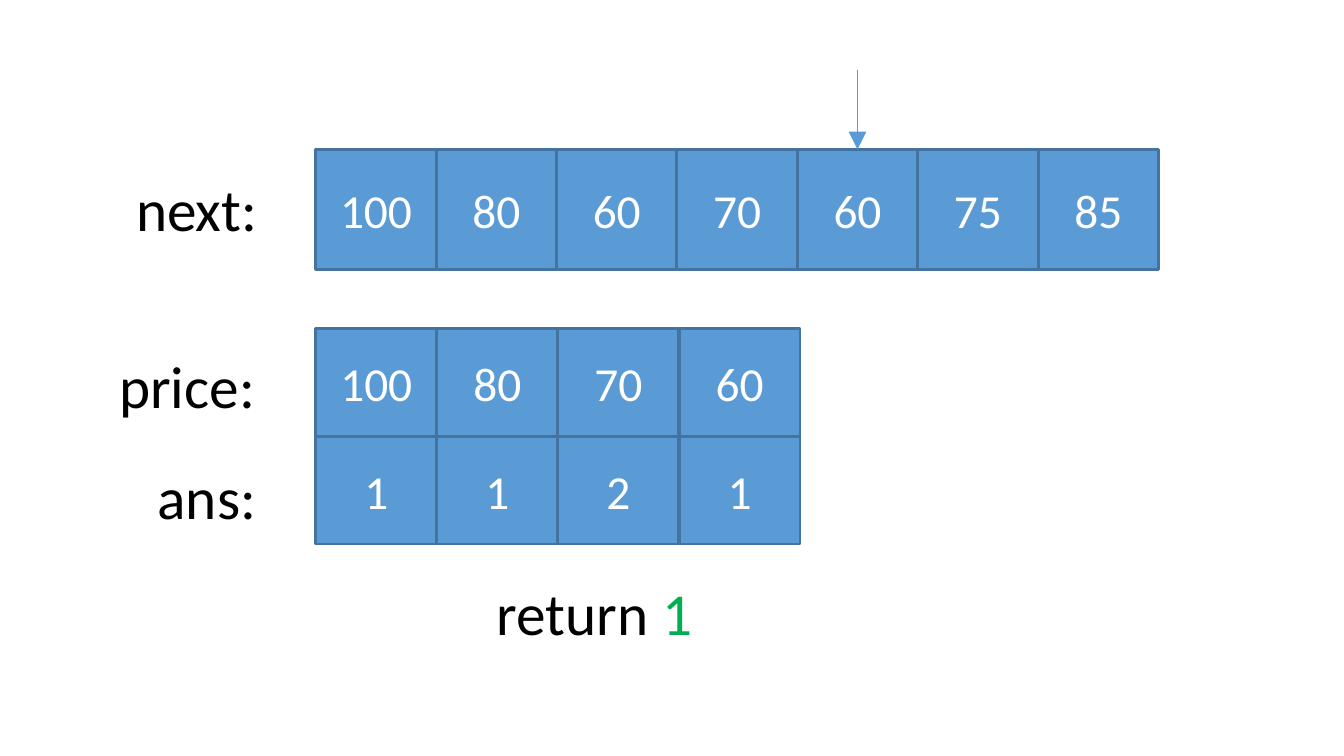
from lxml import etree
from pptx import Presentation
from pptx.dml.color import RGBColor
from pptx.enum.shapes import MSO_CONNECTOR, MSO_SHAPE
from pptx.enum.text import MSO_ANCHOR, MSO_AUTO_SIZE, PP_ALIGN
from pptx.oxml.ns import qn
from pptx.util import Inches, Pt

RECTANGLE = MSO_SHAPE.RECTANGLE
STRAIGHT = MSO_CONNECTOR.STRAIGHT
MIDDLE = MSO_ANCHOR.MIDDLE
CENTER = PP_ALIGN.CENTER
GROW = MSO_AUTO_SIZE.SHAPE_TO_FIT_TEXT

BLUE = RGBColor(0x5B, 0x9B, 0xD5)
DARK_BLUE = RGBColor(0x43, 0x73, 0x9E)
WHITE = RGBColor(0xFF, 0xFF, 0xFF)
BLACK = RGBColor(0x00, 0x00, 0x00)
GREEN = RGBColor(0x00, 0xB0, 0x50)

CM_PER_INCH = 2.54
ROW_LEFT = 1.48
NEXT_TOP = 0.7
NEXT_SIDE = 3.95 / 7
STACK_TOP = 1.54
STACK_WIDTH = 2.27 / 4
STACK_HEIGHT = 1.01 / 2
NEXT_PRICES = [100, 80, 60, 70, 60, 75, 85]
CURRENT = 4
STACK_ROWS = [[100, 80, 70, 60], [1, 1, 2, 1]]
LABELS = [("next:", 0.54, 0.76), ("price:", 0.46, 1.59), ("ans:", 0.64, 2.11)]


class StackSlide:
    font = "Calibri"
    cell_size = Pt(16)
    label_size = Pt(20)

    def __init__(self, slide):
        self.slide = slide

    def add_run(self, paragraph, text, size, color):
        run = paragraph.add_run()
        run.text = text
        run.font.name = self.font
        run.font.size = size
        run.font.color.rgb = color

    def cell(self, value, left, top, width, height):
        shape = self.slide.shapes.add_shape(
            RECTANGLE, Inches(left), Inches(top), Inches(width), Inches(height))
        shape.shadow.inherit = False
        shape.fill.solid()
        shape.fill.fore_color.rgb = BLUE
        shape.line.color.rgb = DARK_BLUE
        shape.line.width = Pt(1)
        frame = shape.text_frame
        frame.margin_left = frame.margin_right = 0
        frame.vertical_anchor = MIDDLE
        paragraph = frame.paragraphs[0]
        paragraph.alignment = CENTER
        self.add_run(paragraph, str(value), self.cell_size, WHITE)

    def row(self, values, top, width, height):
        for column, value in enumerate(values):
            self.cell(value, ROW_LEFT + column * width, top, width, height)

    def label(self, runs, left, top, width):
        box = self.slide.shapes.add_textbox(
            Inches(left), Inches(top), Inches(width), Inches(0.44))
        frame = box.text_frame
        frame.word_wrap = True
        frame.auto_size = GROW
        for text, color in runs:
            self.add_run(frame.paragraphs[0], text, self.label_size, color)

    def down_arrow(self, center, top, bottom):
        arrow = self.slide.shapes.add_connector(
            STRAIGHT, Inches(center), Inches(top), Inches(center), Inches(bottom))
        arrow.line.color.rgb = BLUE
        arrow.line.width = Pt(0.5)
        properties = arrow._element.spPr
        etree.SubElement(properties.find(qn("a:ln")), qn("a:tailEnd"), type="triangle")
        etree.SubElement(properties, qn("a:effectLst"))


presentation = Presentation()
presentation.slide_width = Inches(16 / CM_PER_INCH)
presentation.slide_height = Inches(9 / CM_PER_INCH)
slide = presentation.slides.add_slide(presentation.slide_layouts[6])
stack_slide = StackSlide(slide)

stack_slide.row(NEXT_PRICES, NEXT_TOP, NEXT_SIDE, NEXT_SIDE)
for index, values in enumerate(STACK_ROWS):
    stack_slide.row(values, STACK_TOP + index * STACK_HEIGHT, STACK_WIDTH, STACK_HEIGHT)
for text, left, top in LABELS:
    stack_slide.label([(text, BLACK)], left, top, 1)
stack_slide.label([("return ", BLACK), ("1", GREEN)], 2.23, 2.65, 2.23)
stack_slide.down_arrow(ROW_LEFT + (CURRENT + 0.5) * NEXT_SIDE, 0.33, NEXT_TOP)

presentation.save("out.pptx")
